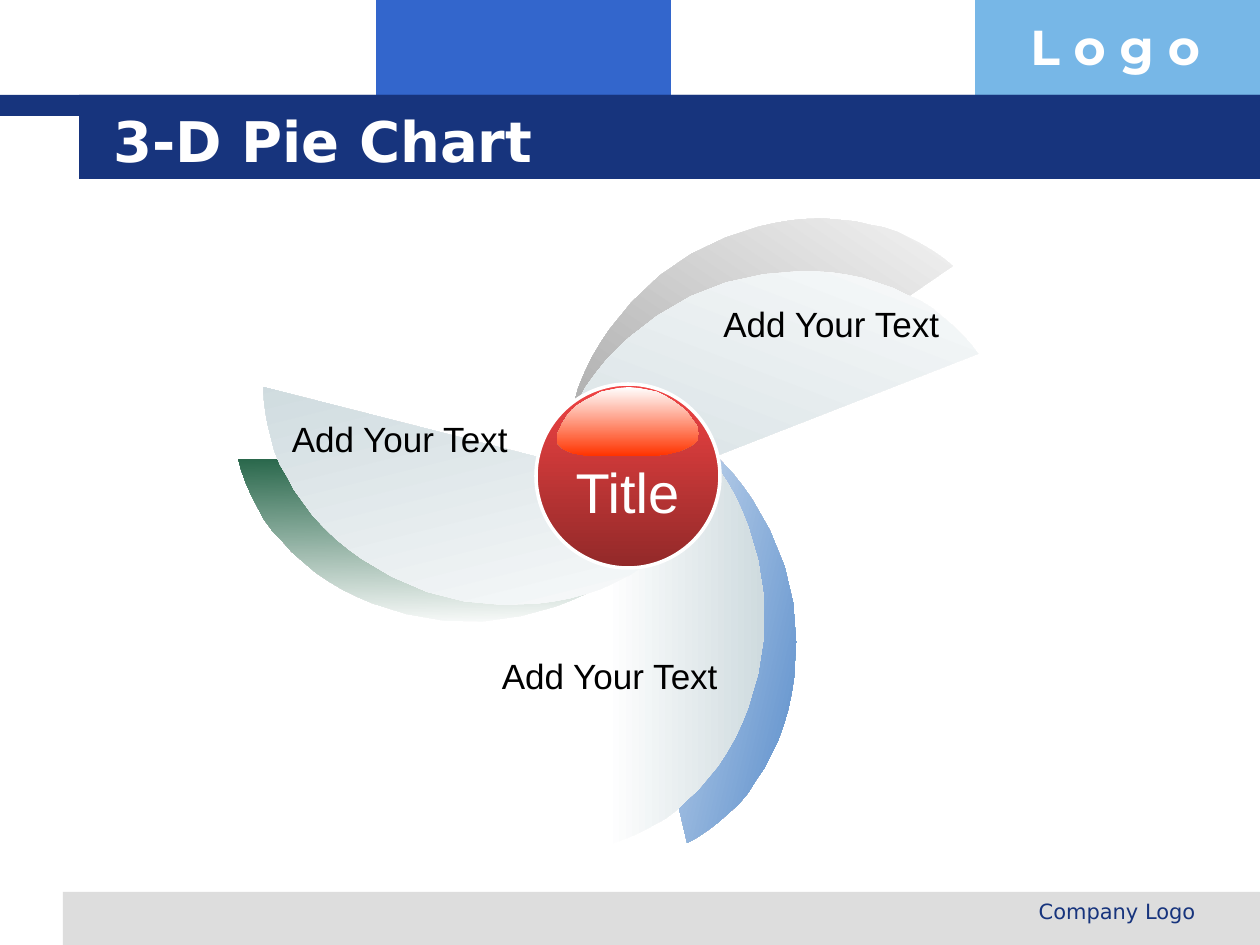
import pptx
import pptx.util
from pptx.dml.color import RGBColor
from pptx.enum.shapes import MSO_SHAPE
from pptx.enum.text import MSO_ANCHOR, PP_ALIGN

SCALE = 914400 / 126  # EMU in one px
COLORS = {
    "navy": "17347D", "blue": "3366CC", "sky": "77B7E7", "gray": "DDDDDD",
    "white": "FFFFFF", "black": "000000", "mist": "CFDBDF",
    "steel": "447EC4", "green": "2A684C", "silver": "969696",
    "red": "F14343", "maroon": "922929", "orange": "FF3300",
}
BLADE_ARC = [
    (0, 0), (11, 3), (24, 8), (35, 13), (48, 20), (59, 26), (71, 35),
    (81, 45), (92, 55), (102, 67), (112, 79), (121, 93), (129, 107),
    (136, 122), (142, 137), (147, 154), (152, 171), (155, 190), (158, 209),
    (158, 228),
]
BLADE_HEIGHT = 456
GLOSS = [
    (140, 39), (142, 47), (140, 54), (134, 59), (123, 64), (111, 67),
    (96, 69), (44, 69), (25, 68), (15, 66), (6, 62), (1, 57), (0, 52),
    (0, 48), (5, 37), (10, 29), (15, 23), (21, 18), (29, 13), (37, 9),
    (44, 5), (53, 3), (62, 1), (72, 0), (81, 1), (91, 3), (100, 5),
    (108, 9), (116, 14), (123, 19), (130, 25), (135, 32),
]


def px(n):
    return pptx.util.Emu(round(n * SCALE))


def rgb(name):
    return RGBColor.from_string(COLORS[name])


def fill_gradient(sp, start, end, angle):
    """Fill with two stops; the angle is clockwise and fixed to the page."""
    sp.fill.gradient()
    for stop, color in zip(sp.fill.gradient_stops, (start, end)):
        stop.color.rgb = rgb(color)
    sp.fill.gradient_angle = (360 - angle) % 360
    sp.fill._xPr.find(pptx.oxml.ns.qn("a:gradFill")).set("rotWithShape", "0")


def add_bar(s, x, y, w, h, color):
    sp = s.shapes.add_shape(MSO_SHAPE.RECTANGLE, px(x), px(y), px(w), px(h))
    sp.shadow.inherit = False
    sp.fill.solid()
    sp.fill.fore_color.rgb = rgb(color)
    sp.line.fill.background()


def add_outline(s, x, y, points, start, end, angle, rotation=0):
    builder = s.shapes.build_freeform(*points[0], scale=SCALE)
    builder.add_line_segments(points[1:], close=True)
    sp = builder.convert_to_shape(px(x), px(y))
    sp.shadow.inherit = False
    sp.line.fill.background()
    fill_gradient(sp, start, end, angle)
    sp.rotation = rotation


def add_text(s, text, x, y, w, h, size=20, font="Arial", color="black",
             bold=False, align=PP_ALIGN.LEFT, anchor=MSO_ANCHOR.TOP,
             wrap=True, inset=True):
    sp = s.shapes.add_textbox(px(x), px(y), px(w), px(h))
    tf = sp.text_frame
    tf.word_wrap = wrap
    tf.vertical_anchor = anchor
    if not inset:
        tf.margin_left = tf.margin_right = tf.margin_top = tf.margin_bottom = 0
    p = tf.paragraphs[0]
    p.alignment = align
    r = p.add_run()
    r.text = text
    r.font.size = pptx.util.Pt(size)
    r.font.name = font
    r.font.bold = bold
    r.font.color.rgb = rgb(color)


def add_header(s, x, y, w):
    add_bar(s, x + 376, y, 295, 116, "blue")
    add_bar(s, x + 975, y, w - 975, 116, "sky")
    add_bar(s, x, y + 95, w, 21, "navy")
    add_bar(s, x + 79, y + 95, w - 79, 84, "navy")
    add_text(s, "L o g o", x + 1018, y + 10, 243, 72, size=28,
             font="Montserrat", color="white", bold=True)
    add_text(s, "3-D Pie Chart", x + 101, y + 101, 1075, 78, size=32,
             font="DejaVu Sans", color="white", bold=True,
             anchor=MSO_ANCHOR.MIDDLE)


def add_footer(s, x, y, w, h):
    add_bar(s, x, y, w, h, "gray")
    add_text(s, "Company Logo", x + 746, y, 399, 44, size=12,
             font="DejaVu Sans", color="navy", align=PP_ALIGN.RIGHT)


def add_hub(s, x, y, d):
    sp = s.shapes.add_shape(MSO_SHAPE.OVAL, px(x), px(y), px(d), px(d))
    sp.shadow.inherit = False
    sp.line.color.rgb = rgb("white")
    sp.line.width = pptx.util.Pt(2)
    fill_gradient(sp, "red", "maroon", 90)
    add_outline(s, x + 21, y + 3, GLOSS, "white", "orange", 90)
    add_text(s, "Title", x + 26, y + 67, 131, 81, size=32, color="white",
             align=PP_ALIGN.CENTER, wrap=False)


def add_pinwheel(s, x, y):
    """Three shaded blades over their coloured backs, around a hub."""
    blade = BLADE_ARC + [(a, BLADE_HEIGHT - b) for a, b in BLADE_ARC[-2::-1]]
    for left, top, rotation, angle, color in (
        (395, 273, 346.8, 13, "steel"),
        (148, 212, 91, 269, "green"),
        (403, 0, 235.5, 124, "silver"),
        (368, 287, 0, 0, "mist"),
        (148, 190, 104.3, 256, "mist"),
        (420, 33, 248.7, 111, "mist"),
    ):
        add_outline(s, x + left, y + top, blade, "white", color, angle, rotation)
    add_hub(s, x + 298, y + 282, 184)
    for left, top, align in (
        (33, 309, PP_ALIGN.RIGHT),
        (473, 194, PP_ALIGN.LEFT),
        (243, 546, PP_ALIGN.RIGHT),
    ):
        add_text(s, "Add Your Text", x + left, y + top, 249, 55,
                 align=align, wrap=False)


def main():
    prs = pptx.Presentation()
    prs.slide_width, prs.slide_height = px(1260), px(945)
    s = prs.slides.add_slide(prs.slide_layouts[6])
    add_header(s, 0, 0, 1260)
    add_footer(s, 63, 892, 1197, 53)
    add_pinwheel(s, 238, 102)
    prs.save("out.pptx")


if __name__ == "__main__":
    main()
